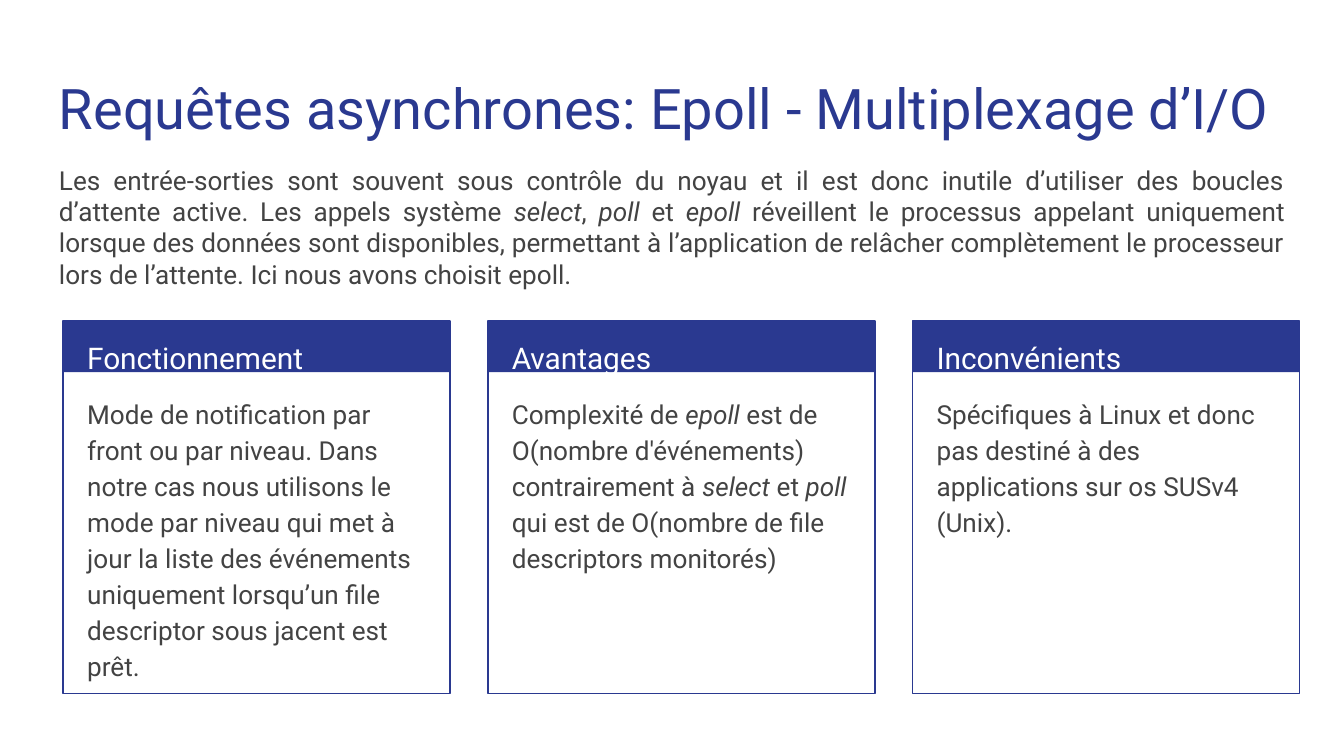
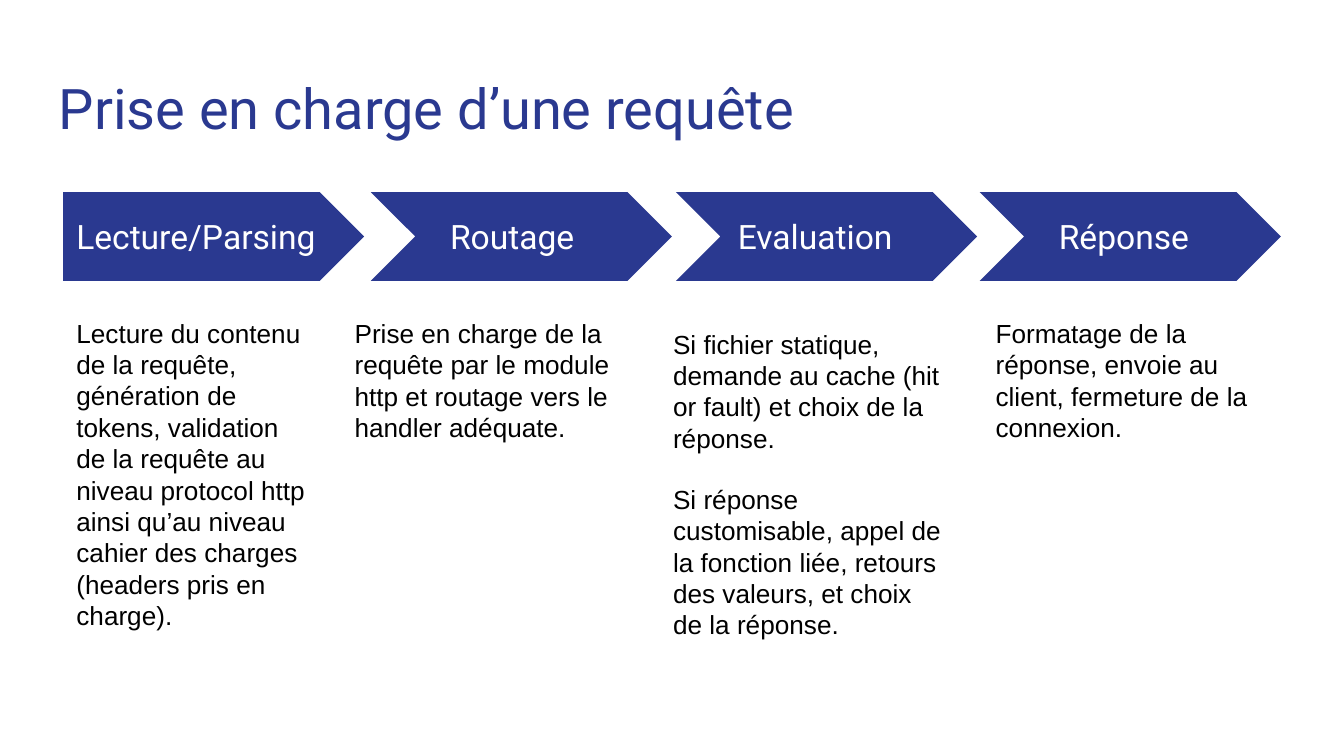
from dataclasses import dataclass

from pptx import Presentation
from pptx.dml.color import RGBColor
from pptx.enum.shapes import MSO_SHAPE as Preset
from pptx.enum.text import MSO_ANCHOR as Anchor, PP_ALIGN as Align
from pptx.shapes.autoshape import Shape
from pptx.slide import Slide
from pptx.text.text import TextFrame
from pptx.util import Inches, Pt


@dataclass(frozen=True)
class Theme:
    accent: RGBColor = RGBColor(0x2A, 0x39, 0x90)
    body: RGBColor = RGBColor(0x43, 0x43, 0x43)
    black: RGBColor = RGBColor(0, 0, 0)
    white: RGBColor = RGBColor(0xFF, 0xFF, 0xFF)
    heading_font: str = "Roboto"
    plain_font: str = "Arial"
    title_size: int = 30
    step_size: int = 18
    card_size: int = 16
    body_size: int = 14


@dataclass(frozen=True)
class Box:
    left: float
    top: float
    width: float
    height: float

    def lengths(self) -> tuple[Inches, Inches, Inches, Inches]:
        return (Inches(self.left), Inches(self.top),
                Inches(self.width), Inches(self.height))


@dataclass(frozen=True)
class Card:
    heading: str
    body: str


@dataclass(frozen=True)
class Step:
    """A stage; without a label box its label sits inside the arrow."""
    label: str
    left: float
    description: tuple[str, ...]
    description_box: Box
    label_box: Box | None = None
    outline: Preset = Preset.CHEVRON


THEME = Theme()

TITLE_BOX = Box(0.34, 0.45, 9.32, 0.66)
INTRO_BOX = Box(0.34, 1.12, 9.32, 1.07)

CARD_LEFT, CARD_PITCH, CARD_TOP = 0.47, 3.16, 2.39
CARD_WIDTH, CARD_HEIGHT, BAND_HEIGHT = 2.88, 2.77, 0.38
CARD_PADDING = 0.08

STEP_TOP, STEP_WIDTH, STEP_HEIGHT = 1.43, 2.24, 0.66
LABEL_TOP, LABEL_HEIGHT = 1.59, 0.34
DESCRIPTION_TOP = 2.26

INTRO = (
    "Les entrée-sorties sont souvent sous contrôle du noyau et il est donc "
    "inutile d’utiliser des boucles d’attente active. Les appels système "
    "*select*, *poll* et *epoll *réveillent le processus appelant uniquement "
    "lorsque des données sont disponibles, permettant à l’application de "
    "relâcher complètement le processeur lors de l’attente. Ici nous avons "
    "choisit epoll."
)

CARDS = (
    Card("Fonctionnement",
         "Mode de notification par front ou par niveau. Dans notre cas nous "
         "utilisons le mode par niveau qui met à jour la liste des événements "
         "uniquement lorsqu’un file descriptor sous jacent est prêt."),
    Card("Avantages",
         "Complexité de *epoll* est de O(nombre d'événements) contrairement à "
         "*select* et *poll* qui est de O(nombre de file descriptors monitorés)"),
    Card("Inconvénients",
         "Spécifiques à Linux et donc pas destiné à des applications sur os "
         "SUSv4 (Unix)."),
)

STEPS = (
    Step("Lecture/Parsing", 0.47,
         ("Lecture du contenu de la requête, génération de tokens, validation "
          "de la requête au niveau protocol http ainsi qu’au niveau cahier des "
          "charges (headers pris en charge).",),
         Box(0.47, DESCRIPTION_TOP, 1.93, 2.9),
         Box(0.47, LABEL_TOP, 2.47, LABEL_HEIGHT), Preset.PENTAGON),
    Step("Routage", 2.76,
         ("Prise en charge de la requête par le module http et routage vers le "
          "handler adéquate.",),
         Box(2.54, DESCRIPTION_TOP, 2.24, 3.05),
         Box(3.25, LABEL_TOP, 1.49, LABEL_HEIGHT)),
    Step("Evaluation", 5.03,
         ("Si fichier statique, demande au cache (hit or fault) et choix de la "
          "réponse.",
          "Si réponse customisable, appel de la fonction liée, retours des "
          "valeurs, et choix de la réponse."),
         Box(4.91, 2.34, 2.24, 2.98)),
    Step("Réponse", 7.29,
         ("Formatage de la réponse, envoie au client, fermeture de la "
          "connexion.",),
         Box(7.31, DESCRIPTION_TOP, 2.24, 3.18),
         Box(7.78, LABEL_TOP, 2.47, LABEL_HEIGHT)),
)


def write(frame: TextFrame, *paragraphs: str, size: int, color: RGBColor,
          font: str = THEME.heading_font, align: Align = Align.LEFT,
          anchor: Anchor = Anchor.TOP, line_spacing: float = 1.0,
          gap: float = 0, inset: float = 0.1) -> None:
    """Fill a frame; text between asterisks is italic, gap parts paragraphs."""
    frame.word_wrap = True
    frame.vertical_anchor = anchor
    frame.margin_left = frame.margin_right = Inches(inset)
    frame.margin_top = frame.margin_bottom = Inches(inset)
    for index, text in enumerate(paragraphs):
        paragraph = frame.add_paragraph() if index else frame.paragraphs[0]
        paragraph.alignment = align
        paragraph.line_spacing = line_spacing
        paragraph.space_before = Pt(gap if index else 0)
        for part, words in enumerate(text.split("*")):
            run = paragraph.add_run()
            run.text = words
            run.font.name = font
            run.font.size = Pt(size)
            run.font.color.rgb = color
            run.font.italic = part % 2 == 1


def add_text(slide: Slide, box: Box, *paragraphs: str, **style) -> None:
    write(slide.shapes.add_textbox(*box.lengths()).text_frame,
          *paragraphs, **style)


def add_filled(shapes, outline: Preset, box: Box) -> Shape:
    shape = shapes.add_shape(outline, *box.lengths())
    shape.shadow.inherit = False
    shape.fill.solid()
    shape.fill.fore_color.rgb = THEME.accent
    shape.line.fill.background()
    return shape


def add_framed(shapes, box: Box) -> None:
    frame = shapes.add_shape(Preset.RECTANGLE, *box.lengths())
    frame.shadow.inherit = False
    frame.fill.background()
    frame.line.color.rgb = THEME.accent
    frame.line.width = Pt(0.75)


def add_titled_slide(deck: Presentation, title: str) -> Slide:
    slide = deck.slides.add_slide(deck.slide_layouts[6])
    add_text(slide, TITLE_BOX, title, size=THEME.title_size,
             color=THEME.accent)
    return slide


def add_card(slide: Slide, card: Card, left: float) -> None:
    panel = slide.shapes.add_group_shape().shapes
    add_filled(panel, Preset.RECTANGLE,
               Box(left, CARD_TOP, CARD_WIDTH, BAND_HEIGHT))
    add_framed(panel, Box(left, CARD_TOP, CARD_WIDTH, CARD_HEIGHT))
    text_left = left + CARD_PADDING
    text_width = CARD_WIDTH - 2 * CARD_PADDING
    add_text(slide, Box(text_left, CARD_TOP, text_width, 0.37), card.heading,
             size=THEME.card_size, color=THEME.white, line_spacing=1.15)
    add_text(slide, Box(text_left, 2.83, text_width, 2.27), card.body,
             size=THEME.body_size, color=THEME.body, line_spacing=1.15)


def add_step(slide: Slide, step: Step) -> None:
    arrow = add_filled(slide.shapes, step.outline,
                       Box(step.left, STEP_TOP, STEP_WIDTH, STEP_HEIGHT))
    label_style = dict(size=THEME.step_size, color=THEME.white,
                       anchor=Anchor.MIDDLE)
    if step.label_box:
        add_text(slide, step.label_box, step.label, **label_style)
    else:
        write(arrow.text_frame, step.label, inset=0.13, **label_style)
    add_text(slide, step.description_box, *step.description,
             size=THEME.body_size, color=THEME.black, font=THEME.plain_font,
             gap=16)


def build_epoll_slide(deck: Presentation) -> None:
    slide = add_titled_slide(
        deck, "Requêtes asynchrones: Epoll - Multiplexage d’I/O")
    for index, card in enumerate(CARDS):
        add_card(slide, card, CARD_LEFT + index * CARD_PITCH)
    add_text(slide, INTRO_BOX, INTRO, size=THEME.body_size, color=THEME.body,
             align=Align.JUSTIFY)


def build_request_slide(deck: Presentation) -> None:
    slide = add_titled_slide(deck, "Prise en charge d’une requête")
    for step in STEPS:
        add_step(slide, step)


def main() -> None:
    deck = Presentation()
    deck.slide_width = Inches(10)
    deck.slide_height = Inches(10) * 9 // 16
    build_epoll_slide(deck)
    build_request_slide(deck)
    deck.save("out.pptx")


if __name__ == "__main__":
    main()
